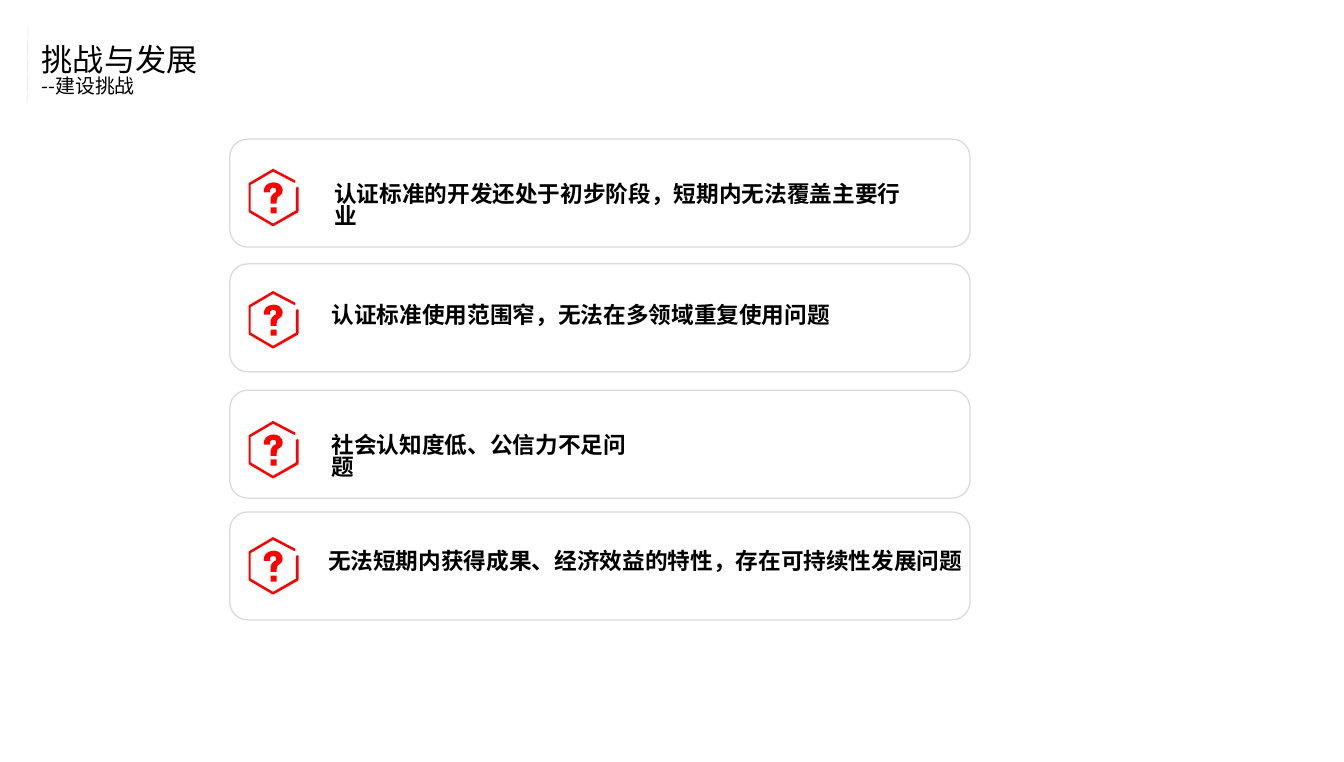
from lxml.etree import SubElement
from pptx import Presentation
from pptx.dml.color import RGBColor
from pptx.enum.shapes import MSO_CONNECTOR as Connector, MSO_SHAPE as Shape
from pptx.enum.text import MSO_ANCHOR as Anchor, MSO_AUTO_SIZE as AutoSize, PP_ALIGN as Align
from pptx.oxml.ns import qn
from pptx.util import Inches, Pt

PX = Inches(1) // 100
FONT = "Noto Sans CJK SC"
BLACK = RGBColor(0x00, 0x00, 0x00)
RED = RGBColor(0xFF, 0x00, 0x00)
CARD_GRAY = RGBColor(0xD9, 0xD9, 0xD9)
RULE_GRAY = RGBColor(0xBF, 0xBF, 0xBF)

CARD_LEFT, CARD_WIDTH, CARD_HEIGHT = 451, 1453, 212
ICON_LEFT = 488

# Card top, icon top, text left, text top, text width, text
CHALLENGES = [
    (273, 331, 646, 358, 1174, "认证标准的开发还处于初步阶段，短期内无法覆盖主要行业"),
    (518, 571, 641, 595, 1002, "认证标准使用范围窄，无法在多领域重复使用问题"),
    (766, 826, 641, 850, 640, "社会认知度低、公信力不足问题"),
    (1005, 1054, 634, 1079, 1270, "无法短期内获得成果、经济效益的特性，存在可持续性发展问题"),
]

QUESTION_DOT = [(43, 76), (55, 76), (55, 88), (43, 88)]
QUESTION_HOOK = [
    (49, 27), (55, 28), (60, 30), (65, 36), (67, 42), (66, 47), (64, 51), (60, 54),
    (57, 56), (56, 59), (55, 64), (55, 69), (43, 69), (43, 60), (44, 56), (46, 52),
    (50, 48), (54, 46), (54, 42), (53, 39), (50, 38), (47, 37), (44, 39), (42, 41),
    (42, 47), (30, 47), (30, 42), (31, 38), (34, 33), (40, 29),
]
OPEN_HEXAGON = [
    (47, 1), (48, 0), (49, 1), (91, 23), (92, 26), (91, 28), (88, 27), (48, 6),
    (4, 32), (4, 82), (48, 108), (93, 82), (93, 39), (94, 37), (96, 36), (98, 37),
    (98, 39), (98, 83), (97, 86), (49, 113), (47, 113), (1, 86), (0, 83), (0, 30), (1, 28),
]


def write_line(para, text, size, bold=False):
    para.text = text
    para.alignment = Align.LEFT
    para.line_spacing = 0.82
    font = para.font
    font.name, font.size, font.bold = FONT, Pt(size), bold
    font.color.rgb = BLACK
    defaults = para._p.pPr.find(qn("a:defRPr"))
    SubElement(defaults, qn("a:ea"), typeface=FONT)


def draw_question_icon(shapes, left, top):
    builder = None
    for outline in (QUESTION_DOT, QUESTION_HOOK, OPEN_HEXAGON):
        points = [(left + x, top + y) for x, y in outline]
        if builder is None:
            builder = shapes.build_freeform(*points[0], scale=PX)
        else:
            builder.move_to(*points[0])
        builder.add_line_segments(points[1:], close=True)
    icon = builder.convert_to_shape()
    icon.shadow.inherit = False
    icon.fill.solid()
    icon.fill.fore_color.rgb = RED
    icon.line.fill.background()


deck = Presentation()
deck.slide_width, deck.slide_height = 2638 * PX, 1496 * PX
page = deck.slides.add_slide(deck.slide_layouts[5])
shapes = page.shapes

rule = shapes.add_connector(Connector.STRAIGHT, 55 * PX, 56 * PX, 53 * PX, 201 * PX)
rule.line.color.rgb = RULE_GRAY
rule.line.width = Pt(0.25)
SubElement(rule._element.spPr, qn("a:effectLst"))

title = shapes.title
title.left, title.top, title.width, title.height = 72 * PX, 88 * PX, 416 * PX, 131 * PX
heading = title.text_frame
heading.auto_size = AutoSize.NONE
heading.vertical_anchor = Anchor.TOP
write_line(heading.paragraphs[0], "挑战与发展", 44)
write_line(heading.add_paragraph(), "--建设挑战", 28)

for card_top, icon_top, text_left, text_top, text_width, text in CHALLENGES:
    card = shapes.add_shape(Shape.ROUNDED_RECTANGLE, CARD_LEFT * PX, card_top * PX,
                            CARD_WIDTH * PX, CARD_HEIGHT * PX)
    card.shadow.inherit = False
    card.fill.background()
    card.line.color.rgb = CARD_GRAY
    card.line.width = Pt(1.75)

    draw_question_icon(shapes, ICON_LEFT, icon_top)

    box = shapes.add_textbox(text_left * PX, text_top * PX, text_width * PX, 64 * PX)
    box.text_frame.word_wrap = True
    write_line(box.text_frame.paragraphs[0], text, 32, bold=True)

deck.save("out.pptx")
